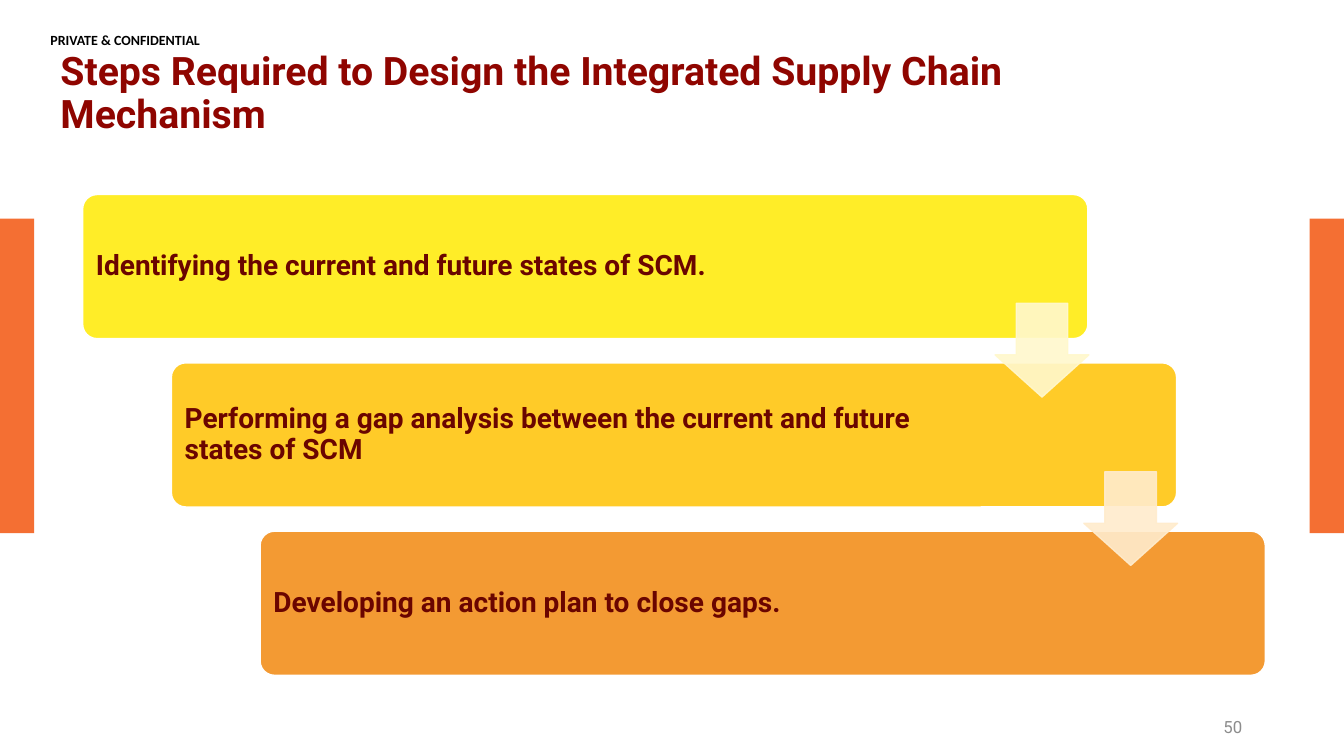
from lxml import etree
from pptx import Presentation
from pptx import util as u
from pptx.dml.color import RGBColor
from pptx.enum import shapes, text
from pptx.oxml.ns import qn

WIDE, HIGH = 13.33, 7.5
STEPS = [
    ("Identifying the current and future states of SCM.", "FFED28"),
    ("Performing a gap analysis between the current and future states of SCM",
     "FFCB28"),
    ("Developing an action plan to close gaps.", "F39A33"),
]
ARROWS = ["FFF8CD", "FFECCD"]


def color(code):
    return RGBColor.from_string(code)


def inches(*nums):
    return [u.Inches(n) for n in nums]


def write(shape, words, size, code, font="Roboto", bold=True,
          align=text.PP_ALIGN.LEFT, space=None, pads=(0.1, 0.05, 0.1, 0.05)):
    """Fill a shape with one paragraph; pads are left, top, right, bottom."""
    frame = shape.text_frame
    sides = zip(("left", "top", "right", "bottom"), inches(*pads))
    look = {"margin_" + side: pad for side, pad in sides}
    look.update(word_wrap=True, auto_size=text.MSO_AUTO_SIZE.NONE,
                vertical_anchor=text.MSO_ANCHOR.MIDDLE)
    for key, val in look.items():
        setattr(frame, key, val)
    para = frame.paragraphs[0]
    para.text = words
    para.alignment = align
    para.line_spacing = space
    for key, val in {"name": font, "size": u.Pt(size), "bold": bold}.items():
        setattr(para.runs[0].font, key, val)
    para.runs[0].font.color.rgb = color(code)


def draw(slide, kind, box, fill, line=None, adjust=()):
    shape = slide.shapes.add_shape(kind, *inches(*box))
    shape.shadow.inherit = False
    shape.fill.solid()
    shape.fill.fore_color.rgb = color(fill)
    if line:
        shape.line.color.rgb = color(line)
        shape.line.width = u.Pt(1)
    else:
        shape.line.fill.background()
    for i, val in enumerate(adjust):
        shape.adjustments[i] = val
    return shape


def fade(shape, share):
    """Set the opacity of fill and line, in percent."""
    for node in shape.fill._xPr.iter(qn("a:srgbClr")):
        etree.SubElement(node, qn("a:alpha")).set("val", str(share * 1000))


def add_bars(slide, top, wide, high):
    for left in (0, WIDE - wide):
        draw(slide, shapes.MSO_SHAPE.RECTANGLE, (left, top, wide, high), "F46F33")


def add_head(slide, left, top, wide, high):
    label = slide.shapes.add_textbox(*inches(left, top - 0.24, 2.53, 0.12))
    write(label, "PRIVATE & CONFIDENTIAL", 10, "000000", "Calibri",
          pads=(0, 0, 0, 0))
    title = slide.shapes.title
    title.left, title.top, title.width, title.height = inches(left, top, wide, high)
    write(title, "Steps Required to Design the Integrated Supply Chain Mechanism",
          28, "8F0500", space=0.9)


def add_stairs(slide, left, top, wide, high):
    """Cascade the steps to the box's lower right, with arrows between them."""
    card_w, card_h, side = 9.97, 1.43, 0.93
    last = len(STEPS) - 1
    shift, drop = (wide - card_w) / last, (high - card_h) / last
    for i, (words, fill) in enumerate(STEPS):
        box = (left + i * shift, top + i * drop, card_w, card_h)
        card = draw(slide, shapes.MSO_SHAPE.ROUNDED_RECTANGLE, box, fill,
                    "FFFFFF", [0.1])
        write(card, words, 20, "6A0500", space=0.9, pads=(0.09, 0.08, 1.88, 0.08))
    for i, fill in enumerate(ARROWS):
        box = (left + i * shift + 9.05, top + i * drop + 1.08, side, side)
        arrow = draw(slide, shapes.MSO_SHAPE.DOWN_ARROW, box, fill, fill,
                     [0.55, 0.45])
        fade(arrow, 90)


def add_number(slide, left, top, wide, high):
    number = slide.shapes.add_textbox(*inches(left, top, wide, high))
    write(number, "50", 12, "8C8C8C", bold=False, align=text.PP_ALIGN.RIGHT)


def main():
    deck = Presentation()
    deck.slide_width, deck.slide_height = inches(WIDE, HIGH)
    slide = deck.slides.add_slide(deck.slide_layouts[5])
    add_bars(slide, 2.17, 0.34, 3.12)
    add_head(slide, 0.5, 0.58, 10.86, 0.71)
    add_stairs(slide, 0.82, 1.93, 11.73, 4.77)
    add_number(slide, 9.42, 7.01, 3, 0.4)
    deck.save("out.pptx")


if __name__ == "__main__":
    main()
